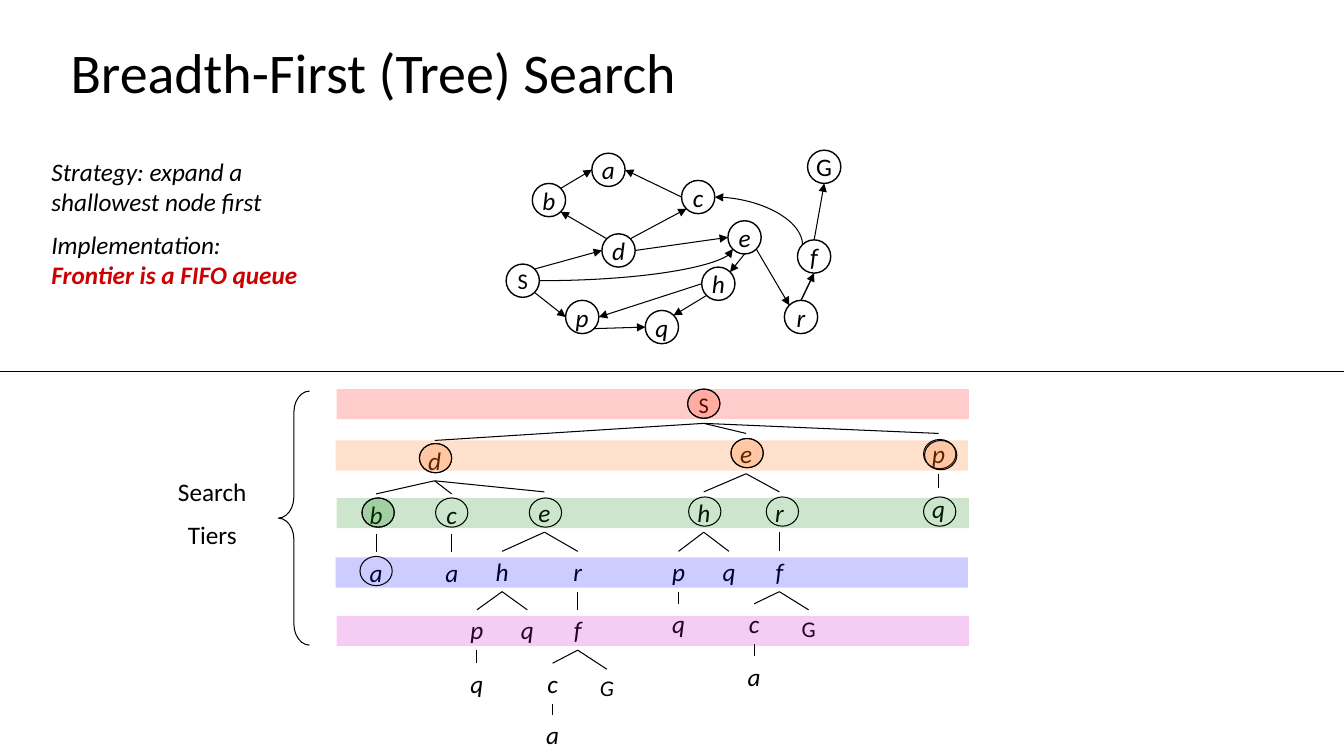
from dataclasses import dataclass, field
from typing import Optional

import pptx
import pptx.dml.color
import pptx.enum.shapes
import pptx.enum.text
import pptx.oxml
import pptx.oxml.ns
import pptx.util
from pptx.util import Inches

COLOURS = {
    "ink": "000000", "accent": "CC0000", "start": "FF3300", "red": "FF0000",
    "orange": "FF6600", "green": "008000", "blue": "0000FF", "magenta": "CC00CC",
}
FONT = "Calibri"
NODE_SIZE = 0.33
RING_WIDTH, RING_HEIGHT = 0.32, 0.29
SITES = {
    "N": (0.5, 0), "NE": (0.85, 0.15), "E": (1, 0.5), "SE": (0.85, 0.85),
    "S": (0.5, 1), "SW": (0.15, 0.85), "W": (0, 0.5), "NW": (0.15, 0.15),
}
SHAPES = pptx.enum.shapes.MSO_SHAPE
CONNECTORS = pptx.enum.shapes.MSO_CONNECTOR
ALIGN = pptx.enum.text.PP_ALIGN
ANCHOR = pptx.enum.text.MSO_ANCHOR
AUTO_SIZE = pptx.enum.text.MSO_AUTO_SIZE


@dataclass
class TreeNode:
    label: str
    centre: float
    top: float
    children: list["TreeNode"] = field(default_factory=list)
    width: float = 0.42
    height: float = 0.4
    size: int = 18
    italic: bool = True


@dataclass
class GraphNode:
    label: str
    left: float
    top: float
    size: int = 18
    italic: bool = True


@dataclass
class Edge:
    start: str
    start_site: str
    end: str
    end_site: str
    width: float = 0.75
    curved: bool = False
    arrow: str = "tailEnd"


@dataclass
class Band:
    left: float
    top: float
    colour: str


@dataclass
class Ring:
    left: float
    top: float
    tint: Optional[str] = None


def goal(centre: float, top: float, italic: bool = False) -> TreeNode:
    return TreeNode("G", centre, top, [], 0.83, 0.37, 16, italic)


TREE = TreeNode("S", 6.98, 3.83, [
    TreeNode("d", 4.31, 4.37, [
        TreeNode("b", 3.73, 4.9, [TreeNode("a", 3.73, 5.48)]),
        TreeNode("c", 4.48, 4.9, [TreeNode("a", 4.48, 5.48)]),
        TreeNode("e", 5.4, 4.88, [
            TreeNode("h", 4.98, 5.47, [
                TreeNode("p", 4.73, 6.05, [TreeNode("q", 4.73, 6.58)]),
                TreeNode("q", 5.23, 6.05)]),
            TreeNode("r", 5.73, 5.47, [
                TreeNode("f", 5.73, 6.05, [
                    TreeNode("c", 5.48, 6.58, [TreeNode("a", 5.48, 7.09)]),
                    goal(6.02, 6.64, True)])])])]),
    TreeNode("e", 7.4, 4.3, [
        TreeNode("h", 6.98, 4.88, [
            TreeNode("p", 6.73, 5.47, [TreeNode("q", 6.73, 5.99)]),
            TreeNode("q", 7.23, 5.47)]),
        TreeNode("r", 7.73, 4.88, [
            TreeNode("f", 7.73, 5.47, [
                TreeNode("c", 7.48, 5.99, [TreeNode("a", 7.48, 6.51)]),
                goal(8.02, 6.05)])])]),
    TreeNode("p", 9.31, 4.3, [TreeNode("q", 9.31, 4.84)]),
], 1.08, 0.37, 16, False)

GRAPH = [
    GraphNode("S", 5.02, 2.62, 16, False), GraphNode("G", 8.01, 1.49, 18, False),
    GraphNode("d", 5.97, 2.32), GraphNode("b", 5.28, 1.82), GraphNode("p", 5.61, 2.98),
    GraphNode("q", 6.4, 3.08), GraphNode("c", 6.76, 1.79), GraphNode("e", 7.22, 2.19),
    GraphNode("h", 6.96, 2.65), GraphNode("a", 5.87, 1.52), GraphNode("f", 7.91, 2.38),
    GraphNode("r", 7.78, 2.98),
]
EDGES = [
    Edge("S", "SE", "p", "W"), Edge("p", "SE", "q", "W"), Edge("h", "SW", "q", "NE"),
    Edge("h", "W", "p", "E"), Edge("e", "S", "h", "NE"), Edge("e", "SE", "r", "NW"),
    Edge("r", "N", "f", "S", 1), Edge("f", "N", "G", "S"), Edge("S", "NE", "d", "W"),
    Edge("d", "NW", "b", "SE"), Edge("b", "NE", "a", "W"), Edge("c", "W", "a", "E"),
    Edge("d", "NE", "c", "SW"), Edge("d", "E", "e", "W"),
    Edge("c", "E", "f", "NW", curved=True, arrow="headEnd"),
    Edge("S", "E", "e", "SW", curved=True),
]
BANDS = [
    Band(3.34, 3.86, "red"), Band(3.33, 4.37, "orange"), Band(3.34, 4.94, "green"),
    Band(3.33, 5.53, "blue"), Band(3.34, 6.11, "magenta"),
]
RINGS = [
    Ring(6.82, 3.86, "start"), Ring(6.82, 3.86), Ring(4.16, 4.4), Ring(7.25, 4.35),
    Ring(9.16, 4.36), Ring(3.59, 4.94), Ring(4.32, 4.94), Ring(5.25, 4.94),
    Ring(6.83, 4.93), Ring(7.6, 4.93), Ring(9.16, 4.93), Ring(3.57, 5.52),
    Ring(4.16, 4.4, "orange"), Ring(7.25, 4.35, "orange"), Ring(9.17, 4.37, "orange"),
    Ring(3.59, 4.94, "green"),
]


def colour(name: str) -> pptx.dml.color.RGBColor:
    return pptx.dml.color.RGBColor.from_string(COLOURS[name])


def format_para(para, size: int, italic: bool = False, align=ALIGN.CENTER) -> None:
    para.alignment = align
    para.font.name, para.font.size = FONT, pptx.util.Pt(size)
    para.font.italic = italic
    para.font.color.rgb = colour("ink")


def add_preset(page, kind, left: float, top: float, width: float, height: float,
               tint: Optional[str] = None, line_width: float = 0):
    shape = page.shapes.add_shape(kind, Inches(left), Inches(top), Inches(width), Inches(height))
    shape.shadow.inherit = False
    if tint:
        shape.fill.solid()
        shape.fill.fore_color.rgb = colour(tint)
        shade = shape.fill._xPr.find(".//" + pptx.oxml.ns.qn("a:srgbClr"))
        pptx.oxml.ns.qn("a:alpha")
        shade.append(pptx.oxml.parse_xml(f'<a:alpha {pptx.oxml.ns.nsdecls("a")} val="20000"/>'))
    else:
        shape.fill.background()
    if line_width:
        shape.line.color.rgb = colour("ink")
        shape.line.width = pptx.util.Pt(line_width)
    else:
        shape.line.fill.background()
    return shape


def add_line(page, start: tuple[float, float], end: tuple[float, float], width: float = 0.75,
             curved: bool = False, arrow: Optional[str] = None):
    kind = CONNECTORS.CURVE if curved else CONNECTORS.STRAIGHT
    line = page.shapes.add_connector(kind, *map(Inches, start + end))
    line.line.color.rgb = colour("ink")
    line.line.width = pptx.util.Pt(width)
    namespace = pptx.oxml.ns.nsdecls("a")
    properties = line._element.spPr
    if curved:
        properties.find(pptx.oxml.ns.qn("a:prstGeom")).set("prst", "curvedConnector2")
    if arrow:
        properties.find(pptx.oxml.ns.qn("a:ln")).append(
            pptx.oxml.parse_xml(f'<a:{arrow} {namespace} type="triangle"/>'))
    properties.append(pptx.oxml.parse_xml(f"<a:effectLst {namespace}/>"))
    return line


def add_label(page, lines: list[str], left: float, top: float, width: float, height: float,
              size: int, italic: bool):
    box = page.shapes.add_textbox(Inches(left), Inches(top), Inches(width), Inches(height))
    box.text_frame.word_wrap = True
    box.text_frame.auto_size = AUTO_SIZE.SHAPE_TO_FIT_TEXT
    box.text_frame.text = "\n".join(lines)
    for index, para in enumerate(box.text_frame.paragraphs):
        format_para(para, size, italic)
        para.space_before = pptx.util.Pt(size / 2 if index else 0)
    return box


def add_tree(page, node: TreeNode):
    box = add_label(page, [node.label], node.centre - node.width / 2, node.top,
                    node.width, node.height, node.size, node.italic)
    for child in node.children:
        child_box = add_tree(page, child)
        branch = add_line(page, (node.centre, node.top + node.height), (child.centre, child.top))
        branch.begin_connect(box, 2)
        branch.end_connect(child_box, 0)
    return box


def add_graph(page) -> None:
    nodes = {node.label: node for node in GRAPH}
    for node in GRAPH:
        circle = add_preset(page, SHAPES.FLOWCHART_CONNECTOR, node.left, node.top,
                            NODE_SIZE, NODE_SIZE, line_width=1)
        circle.text_frame.word_wrap = False
        circle.text_frame.vertical_anchor = ANCHOR.MIDDLE
        circle.text_frame.text = node.label
        format_para(circle.text_frame.paragraphs[0], node.size, node.italic)

    def site(label: str, side: str) -> tuple[float, float]:
        across, down = SITES[side]
        return nodes[label].left + across * NODE_SIZE, nodes[label].top + down * NODE_SIZE

    for edge in EDGES:
        add_line(page, site(edge.start, edge.start_site), site(edge.end, edge.end_site),
                 edge.width, edge.curved, edge.arrow)


def place(holder, left: float, top: float, width: float, height: float, anchor) -> None:
    holder.left, holder.top = Inches(left), Inches(top)
    holder.width, holder.height = Inches(width), Inches(height)
    holder.text_frame.word_wrap = True
    holder.text_frame.auto_size = AUTO_SIZE.NONE
    holder.text_frame.vertical_anchor = anchor


def add_strategy(body) -> None:
    place(body, 0.41, 1.5, 2.76, 1.46, ANCHOR.TOP)
    body.text_frame.text = "Strategy: expand a shallowest node first\nImplementation: \v"
    for index, para in enumerate(body.text_frame.paragraphs):
        format_para(para, 18, True, ALIGN.LEFT)
        para.space_before = pptx.util.Pt(9 if index else 0)
        properties = para._p.get_or_add_pPr()
        properties.set("marL", "0")
        properties.set("indent", "0")
        bullet = pptx.oxml.parse_xml(f'<a:buNone {pptx.oxml.ns.nsdecls("a")}/>')
        properties.find(pptx.oxml.ns.qn("a:defRPr")).addprevious(bullet)
    span = body.text_frame.paragraphs[1].add_run()
    span.text = "Frontier is a FIFO queue"
    span.font.bold = True
    span.font.color.rgb = colour("accent")


def main() -> None:
    deck = pptx.Presentation()
    deck.slide_width, deck.slide_height = Inches(13.33), Inches(7.5)
    page = deck.slides.add_slide(deck.slide_layouts[1])
    title, body = page.placeholders
    place(title, 0.6, 0.4, 11.5, 0.69, ANCHOR.MIDDLE)
    title.text_frame.text = "Breadth-First (Tree) Search"
    format_para(title.text_frame.paragraphs[0], 40, align=ALIGN.LEFT)
    title.text_frame.paragraphs[0].line_spacing = 0.9
    add_strategy(body)
    add_tree(page, TREE)
    add_graph(page)
    for band in BANDS:
        add_preset(page, SHAPES.RECTANGLE, band.left, band.top, 6.27, 0.3, band.colour)
    brace = add_preset(page, SHAPES.LEFT_BRACE, 2.76, 3.88, 0.31, 2.52, line_width=0.75)
    brace.adjustments[0] = 0.68
    add_label(page, ["Search", "Tiers"], 1.58, 4.68, 1.05, 0.86, 18, False)
    for ring in RINGS:
        add_preset(page, SHAPES.OVAL, ring.left, ring.top, RING_WIDTH, RING_HEIGHT, ring.tint, 0.75)
    add_line(page, (0, 3.69), (13.33, 3.69))
    deck.save("out.pptx")


if __name__ == "__main__":
    main()
